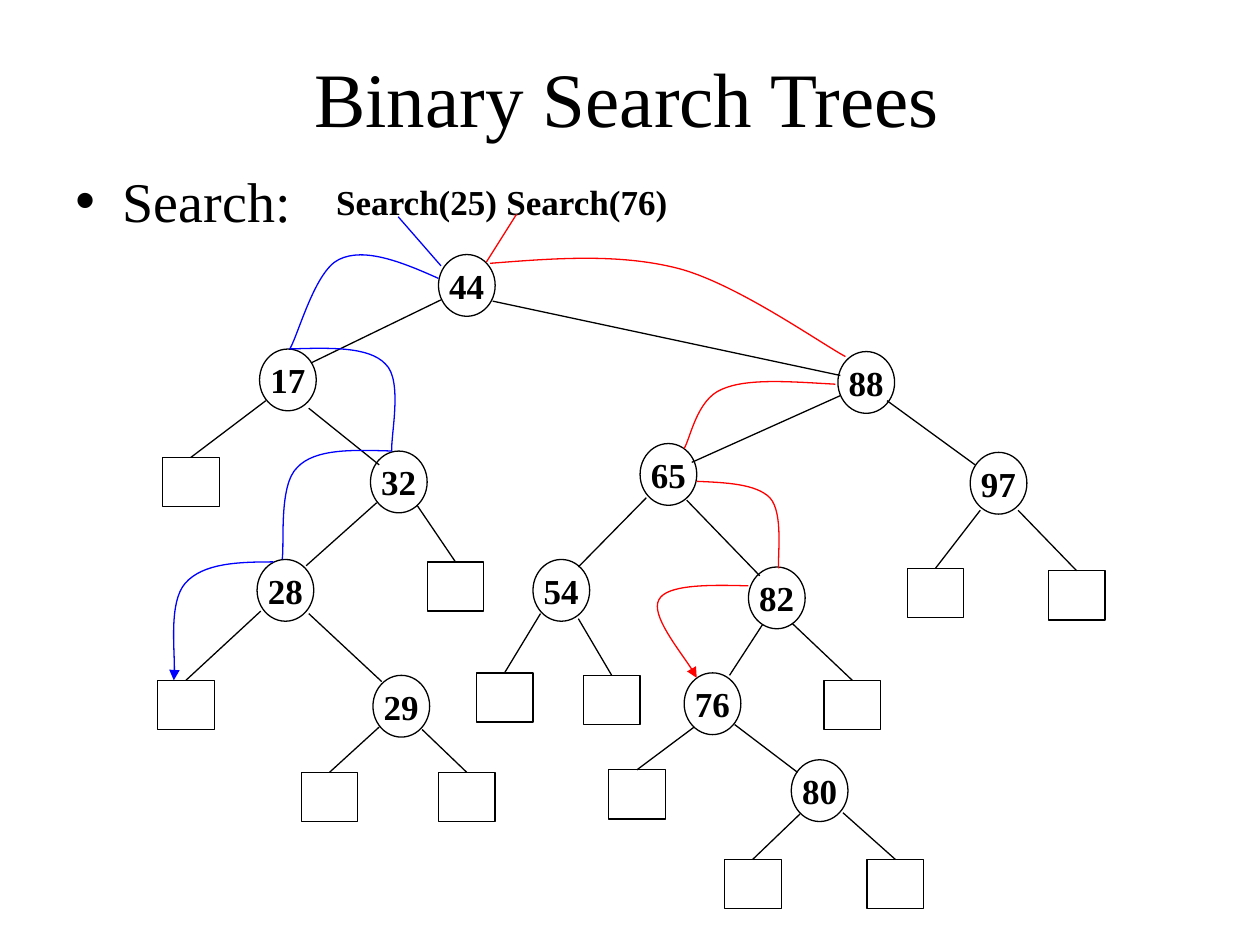
from lxml.etree import SubElement
from pptx import Presentation
from pptx.dml.color import RGBColor
from pptx.enum.shapes import MSO_CONNECTOR, MSO_SHAPE
from pptx.enum.text import MSO_ANCHOR, MSO_AUTO_SIZE, PP_ALIGN
from pptx.oxml.ns import qn
from pptx.util import Cm, Pt

COLORS = {"ink": "000000", "left": "0000FF", "right": "FF0000"}
FACE = "Times New Roman"
LABEL = {"name": FACE, "size": Pt(20), "bold": True}
TITLE = {"name": FACE, "size": Pt(44), "bold": False}
BODY = {"name": FACE, "size": Pt(32), "bold": False}
INSETS = {"margin_left": Cm(0.25), "margin_right": Cm(0.25),
          "margin_top": Cm(0.13), "margin_bottom": Cm(0.13)}
NODE_SIZE = (0.45, 0.49)
LEAF_SIZE = (0.45, 0.39)

NODES = {
    44: (3.48, 2.02), 17: (2.06, 2.77), 88: (6.65, 2.79), 32: (2.94, 3.58),
    65: (5.08, 3.52), 97: (7.7, 3.59), 28: (2.04, 4.44), 54: (4.23, 4.44),
    82: (5.94, 4.5), 29: (2.96, 5.36), 76: (5.43, 5.34), 80: (6.28, 6.03),
}
EDGES = [
    ((3.5, 2.38), (2.47, 2.88)), ((3.91, 2.39), (6.67, 2.98)),
    ((2.45, 3.24), (3.01, 3.69)), ((2.99, 3.99), (2.43, 4.49)),
    ((2.45, 4.87), (3.03, 5.41)), ((6.67, 3.14), (5.49, 3.67)),
    ((7.04, 3.18), (7.74, 3.69)), ((5.45, 3.97), (6.03, 4.57)),
    ((5.13, 3.95), (4.59, 4.5)), ((6.05, 4.96), (5.79, 5.36)),
    ((5.83, 5.75), (6.33, 6.13)),
]
LEAVES = [
    ((2.11, 3.18), (1.29, 3.63)), ((3.31, 4.01), (3.39, 4.46)),
    ((2.07, 4.85), (1.25, 5.4)), ((3.01, 5.77), (2.39, 6.13)),
    ((3.35, 5.79), (3.48, 6.13)), ((4.29, 4.87), (3.78, 5.34)),
    ((4.59, 4.91), (4.63, 5.36)), ((5.51, 5.77), (4.83, 6.11)),
    ((6.35, 6.46), (5.75, 6.82)), ((6.69, 6.45), (6.88, 6.82)),
    ((6.29, 4.95), (6.54, 5.4)), ((7.78, 4.05), (7.2, 4.51)),
    ((8.08, 4.05), (8.32, 4.53)),
]
SEARCHES = [
    ("Search(25)", 2.57, "left", ((3.16, 1.72), (3.5, 2.11)), [
        [(3.48, 2.21), (3.19, 2.08), (2.89, 1.96), (2.69, 2.06),
         (2.5, 2.15), (2.37, 2.65), (2.3, 2.77)],
        [(2.3, 2.77), (2.62, 2.76), (2.93, 2.75), (3.06, 2.89),
         (3.2, 3.02), (3.1, 3.46), (3.11, 3.58)],
        [(3.11, 3.58), (2.8, 3.57), (2.5, 3.56), (2.36, 3.71),
         (2.21, 3.85), (2.26, 4.32), (2.24, 4.44)],
        [(2.17, 4.46), (1.89, 4.46), (1.61, 4.47), (1.47, 4.63),
         (1.34, 4.78), (1.4, 5.27), (1.38, 5.4)],
    ]),
    ("Search(76)", 3.92, "right", ((4.1, 1.7), (3.86, 2.08)), [
        [(3.89, 2.09), (4.4, 2.05), (4.91, 2.01), (5.38, 2.13),
         (5.84, 2.25), (6.49, 2.71), (6.71, 2.83)],
        [(6.63, 3.05), (6.28, 3.03), (5.93, 3), (5.73, 3.09),
         (5.53, 3.17), (5.48, 3.48), (5.43, 3.56)],
        [(5.53, 3.82), (5.76, 3.83), (6, 3.84), (6.11, 3.95),
         (6.22, 4.07), (6.17, 4.42), (6.18, 4.51)],
        [(5.94, 4.65), (5.62, 4.64), (5.29, 4.64), (5.23, 4.76),
         (5.16, 4.88), (5.48, 5.27), (5.53, 5.38)],
    ]),
]


def scale(*spans):
    return [Cm(span * 2.54) for span in spans]


def apply(item, values):
    for key, value in values.items():
        setattr(item, key, value)


def write(shape, text, font, frame, align):
    box = shape.text_frame
    apply(box, {**INSETS, **frame})
    para = box.paragraphs[0]
    para.alignment = align
    run = para.add_run()
    run.text = text
    apply(run.font, font)
    run.font.color.rgb = RGBColor.from_string(COLORS["ink"])
    return para


def stroke(shape, color):
    shape.line.color.rgb = RGBColor.from_string(COLORS[color])
    shape.line.width = Pt(0.75)


def add_form(slide, kind, spot, size):
    shape = slide.shapes.add_shape(kind, *scale(*spot, *size))
    shape.shadow.inherit = False
    shape.fill.background()
    stroke(shape, "ink")
    return shape


def add_node(slide, key, spot):
    node = add_form(slide, MSO_SHAPE.OVAL, spot, NODE_SIZE)
    write(node, str(key), LABEL,
          {"word_wrap": False, "vertical_anchor": MSO_ANCHOR.MIDDLE}, PP_ALIGN.CENTER)


def add_edge(slide, start, end, color="ink"):
    edge = slide.shapes.add_connector(MSO_CONNECTOR.STRAIGHT, *scale(*start, *end))
    stroke(edge, color)
    SubElement(edge.element.spPr, qn("a:effectLst"))
    return edge


def add_leaf(slide, start, spot):
    leaf = add_form(slide, MSO_SHAPE.RECTANGLE, spot, LEAF_SIZE)
    add_edge(slide, start, spot).end_connect(leaf, 0)


def add_curve(slide, points, color, arrow):
    first, *rest = [scale(*point) for point in points]
    pen = slide.shapes.build_freeform(*first)
    pen.add_line_segments(rest, close=False)
    curve = pen.convert_to_shape()
    curve.shadow.inherit = False
    curve.fill.background()
    stroke(curve, color)
    props = curve.element.spPr
    route = next(props.iter(qn("a:path")))
    lines = route.findall(qn("a:lnTo"))
    for at in range(0, len(lines), 3):
        bend = SubElement(route, qn("a:cubicBezTo"))
        for line in lines[at:at + 3]:
            bend.append(line[0])
            route.remove(line)
    if arrow:
        SubElement(props.find(qn("a:ln")), qn("a:tailEnd"), type="triangle")


def add_search(slide, text, left, color, lead, curves):
    box = slide.shapes.add_textbox(*scale(left, 1.38, 1.48, 0.44))
    write(box, text, LABEL, {"word_wrap": False}, PP_ALIGN.LEFT)
    add_edge(slide, *lead, color)
    for curve in curves:
        add_curve(slide, curve, color, curve is curves[-1])


def fill_holder(holder, text, spot, font, anchor, align):
    apply(holder, dict(zip(("left", "top", "width", "height"), scale(*spot))))
    return write(holder, text, font, {"word_wrap": True, "vertical_anchor": anchor,
                                      "auto_size": MSO_AUTO_SIZE.NONE}, align)


def main():
    deck = Presentation()
    apply(deck, {"slide_width": Cm(25.4), "slide_height": Cm(19.05)})
    slide = deck.slides.add_slide(deck.slide_layouts[1])
    title, body = slide.placeholders
    fill_holder(title, "Binary Search Trees", (1.38, 0.14, 7.19, 1.25),
                TITLE, MSO_ANCHOR.MIDDLE, PP_ALIGN.CENTER)
    para = fill_holder(body, "Search:", (0.5, 1.27, 9, 4.92),
                       BODY, MSO_ANCHOR.TOP, PP_ALIGN.LEFT)
    para.space_before = Pt(8)
    for key, spot in NODES.items():
        add_node(slide, key, spot)
    for start, end in EDGES:
        add_edge(slide, start, end)
    for start, spot in LEAVES:
        add_leaf(slide, start, spot)
    for search in SEARCHES:
        add_search(slide, *search)
    deck.save("out.pptx")


if __name__ == "__main__":
    main()
